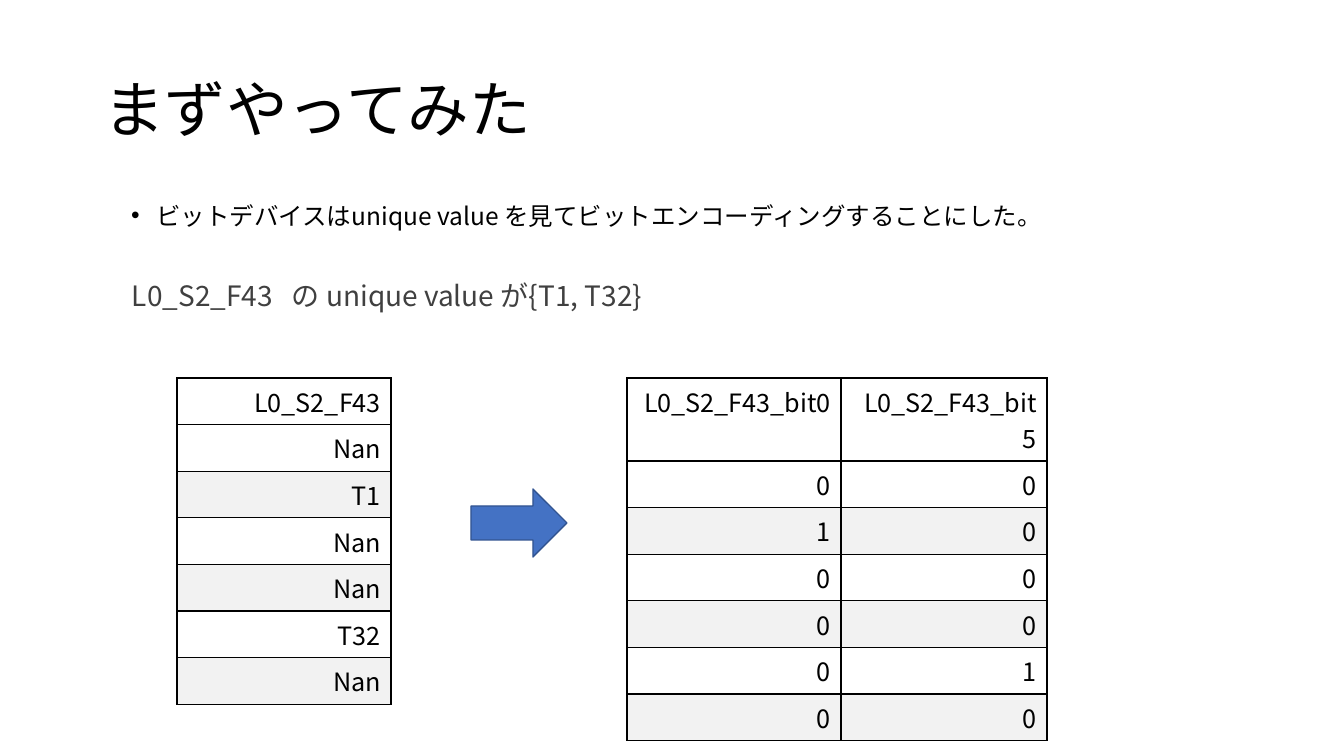
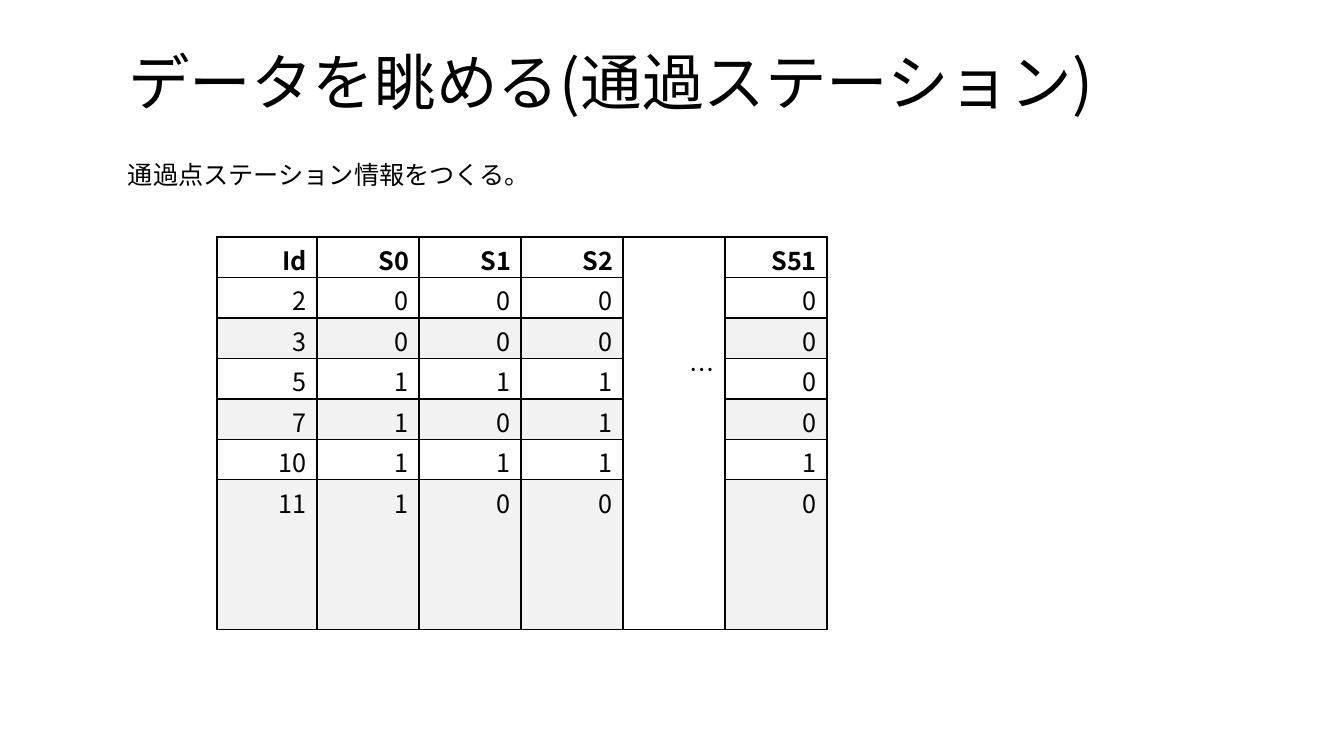
import pptx
import pptx.dml.color
import pptx.enum.shapes
import pptx.enum.text
import pptx.oxml.ns
import pptx.util
from lxml import etree

PIXEL = 914400 / 100.8
FONT = "Noto Sans CJK JP"
BLACK = pptx.dml.color.RGBColor(0x00, 0x00, 0x00)
GRAY = pptx.dml.color.RGBColor(0x40, 0x40, 0x40)
BAND = pptx.dml.color.RGBColor(0xF2, 0xF2, 0xF2)
BLUE = pptx.dml.color.RGBColor(0x44, 0x72, 0xC4)
DARK_BLUE = pptx.dml.color.RGBColor(0x32, 0x54, 0x91)
TITLE_AND_BODY, TITLE_ONLY = 1, 5


def px(value):
    """Turn pixels into EMU."""
    return pptx.util.Emu(round(value * PIXEL))


def add_element(parent, tag, **attributes):
    """Append a DrawingML element to its parent."""
    return etree.SubElement(parent, pptx.oxml.ns.qn(tag), **attributes)


def move(shape, left, top, width, height):
    """Place a shape, given pixels."""
    shape.left, shape.top = px(left), px(top)
    shape.width, shape.height = px(width), px(height)


def format_paragraph(paragraph, size, color=BLACK, bold=False, align="LEFT"):
    """Set alignment and font of a paragraph and its runs."""
    paragraph.alignment = getattr(pptx.enum.text.PP_ALIGN, align)
    for run in paragraph.runs:
        font = run.font
        font.name, font.size, font.bold = FONT, pptx.util.Pt(size), bold
        font.color.rgb = color
        add_element(font._element, "a:ea", typeface=FONT)


def space_paragraph(paragraph, line, before, after=0):
    """Set the line spacing and the gaps around a paragraph."""
    paragraph.line_spacing = line
    paragraph.space_before = pptx.util.Pt(before)
    paragraph.space_after = pptx.util.Pt(after)


def set_text(shape, text, size, color=BLACK, anchor="TOP"):
    """Fill a shape with one wrapped paragraph and return it."""
    frame = shape.text_frame
    frame.text = text
    frame.word_wrap = True
    frame.auto_size = pptx.enum.text.MSO_AUTO_SIZE.NONE
    frame.vertical_anchor = getattr(pptx.enum.text.MSO_ANCHOR, anchor)
    paragraph = frame.paragraphs[0]
    format_paragraph(paragraph, size, color)
    return paragraph


def add_titled_slide(presentation, layout, title, box):
    """Add a slide with its title placeholder moved to the box."""
    slide = presentation.slides.add_slide(presentation.slide_layouts[layout])
    move(slide.shapes.title, *box)
    paragraph = set_text(slide.shapes.title, title, 44, anchor="MIDDLE")
    space_paragraph(paragraph, 0.9, 0)
    return slide


def fill_body(slide, text, box):
    """Put one bulleted line into the body placeholder."""
    body = slide.placeholders[1]
    move(body, *box)
    paragraph = set_text(body, text, 17.5)
    space_paragraph(paragraph, 0.7, 10)
    properties = paragraph._p.get_or_add_pPr()
    indent = pptx.util.Inches(0.25)
    properties.set("marL", str(indent))
    properties.set("indent", str(-indent))
    add_element(properties, "a:buChar", char="•")


def add_text(slide, text, box, size, color=BLACK):
    """Add a text box and return it with its paragraph."""
    text_box = slide.shapes.add_textbox(*map(px, box))
    return text_box, set_text(text_box, text, size, color)


def add_borders(cell):
    """Draw a thin black line on each side of a cell."""
    properties = cell._tc.get_or_add_tcPr()
    for side in ("a:lnL", "a:lnR", "a:lnT", "a:lnB"):
        line = add_element(properties, side, w=str(pptx.util.Pt(1)))
        fill = add_element(line, "a:solidFill")
        add_element(fill, "a:srgbClr", val=str(BLACK))


def format_cell(cell, text, banded, bold):
    """Set the text, borders and fill of a cell."""
    cell.text = text
    format_paragraph(cell.text_frame.paragraphs[0], 18, bold=bold, align="RIGHT")
    add_borders(cell)
    if banded:
        cell.fill.solid()
        cell.fill.fore_color.rgb = BAND
    else:
        cell.fill.background()


def add_grid(slide, left, top, widths, heights, rows, bold_header=False):
    """Add a table whose even rows after the header are banded."""
    frame = slide.shapes.add_table(
        len(rows), len(widths), px(left), px(top), px(sum(widths)), px(sum(heights)))
    table = frame.table
    table.horz_banding = table.first_row = False
    for column, width in zip(table.columns, widths):
        column.width = px(width)
    for row, height in zip(table.rows, heights):
        row.height = px(height)
    for row_index, texts in enumerate(rows):
        banded = row_index > 0 and row_index % 2 == 0
        for column_index, text in enumerate(texts):
            format_cell(table.cell(row_index, column_index), text, banded,
                        bold_header and row_index == 0)
    return table


def add_arrow(slide, box):
    """Add the block arrow between two tables."""
    arrow = slide.shapes.add_shape(
        pptx.enum.shapes.MSO_SHAPE.RIGHT_ARROW, *map(px, box))
    arrow.shadow.inherit = False
    arrow.fill.solid()
    arrow.fill.fore_color.rgb = BLUE
    arrow.line.color.rgb = DARK_BLUE
    arrow.line.width = pptx.util.Pt(1)


def build_encoding_slide(presentation):
    """Build the slide on bit encoding."""
    slide = add_titled_slide(
        presentation, TITLE_AND_BODY, "まずやってみた", (93, 40, 1159, 146))
    fill_body(slide, "ビットデバイスはunique value を見てビットエンコーディングすることにした。",
              (121, 204, 953, 53))
    example, paragraph = add_text(
        slide, "L0_S2_F43   の unique value が{T1, T32}", (132, 277, 953, 53), 20, GRAY)
    example.text_frame.margin_left = example.text_frame.margin_right = 0
    space_paragraph(paragraph, 0.9, 12, 2)

    values = ["Nan", "T1", "Nan", "Nan", "T32", "Nan"]
    encoded = [["L0_S2_F43_bit0", "L0_S2_F43_bit5"]]
    encoded += [[str(int(value == code)) for code in ("T1", "T32")] for value in values]
    add_grid(slide, 627, 378, [214, 206], [83] + [46] * 6, encoded)
    add_grid(slide, 177, 378, [214], [46] * 7, [["L0_S2_F43"]] + [[v] for v in values])
    add_arrow(slide, (471, 489, 96, 68))


def build_station_slide(presentation):
    """Build the slide on the stations passed."""
    slide = add_titled_slide(
        presentation, TITLE_ONLY, "データを眺める(通過ステーション)", (118, 34, 1109, 103))
    add_text(slide, "通過点ステーション情報をつくる。", (118, 154, 1036, 40), 18)

    rows = [
        ["Id", "S0", "S1", "S2", "", "S51"],
        ["2", "0", "0", "0", "", "0"],
        ["3", "0", "0", "0", "", "0"],
        ["5", "1", "1", "1", "", "0"],
        ["7", "1", "0", "1", "", "0"],
        ["10", "1", "1", "1", "", "1"],
        ["11", "1", "0", "0", "", "0"],
    ]
    table = add_grid(slide, 217, 237, [100] + [102] * 5, [40] * 6 + [131], rows,
                     bold_header=True)
    for cell in table.iter_cells():
        cell.margin_top, cell.margin_bottom = px(4), 0

    omitted = table.cell(0, 4)
    omitted.merge(table.cell(6, 4))
    omitted.text = "…"
    omitted.margin_top = px(113)
    format_paragraph(omitted.text_frame.paragraphs[0], 18, align="RIGHT")


def main():
    """Build and save the presentation."""
    presentation = pptx.Presentation()
    presentation.slide_width, presentation.slide_height = px(1344), px(756)
    build_encoding_slide(presentation)
    build_station_slide(presentation)
    presentation.save("out.pptx")


main()
